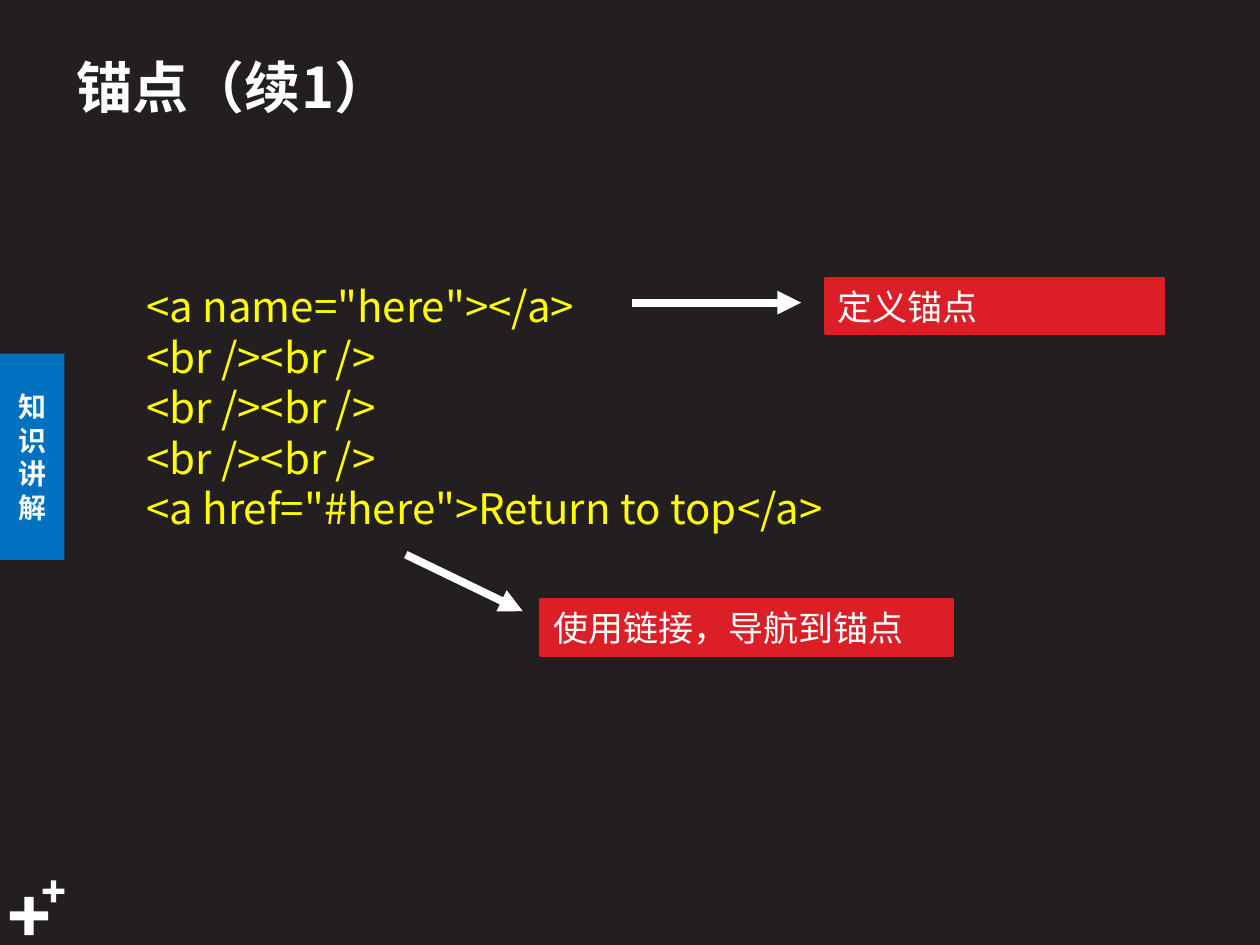
from lxml import etree
from pptx import Presentation
from pptx.dml.color import RGBColor
from pptx.enum.shapes import MSO_CONNECTOR, MSO_SHAPE
from pptx.enum.text import MSO_ANCHOR as Anchor, PP_ALIGN as Align
from pptx.oxml.ns import qn
from pptx.util import Cm, Pt

FONT = "Noto Sans CJK SC"
COLORS = {
    "background": "231F20",
    "white": "FFFFFF",
    "tab": "0070C0",
    "tab_text": "F9FAFB",
    "code": "FFFF00",
    "label": "DC1F26",
}
CODE_LINES = [
    '<a name="here"></a>',
    *["<br /><br />"] * 3,
    '<a href="#here">Return to top</a>',
]


def color(name):
    return RGBColor.from_string(COLORS[name])


def write_text(shape, text, size, color_name, bold=False, align=Align.LEFT,
               anchor=Anchor.MIDDLE):
    frame = shape.text_frame
    frame.word_wrap = True
    frame.vertical_anchor = anchor
    frame.text = text
    for paragraph in frame.paragraphs:
        paragraph.alignment = align
        paragraph.line_spacing = Pt(size * 1.2)
        for run in paragraph.runs:
            font = run.font
            font.name = FONT
            font.size = Pt(size)
            font.bold = bold
            font.color.rgb = color(color_name)
            # East Asian characters take their own typeface
            etree.SubElement(font._element, qn("a:ea"), typeface=FONT)


def add_text(slide, box, text, size, color_name, **options):
    shape = slide.shapes.add_textbox(*map(Cm, box))
    write_text(shape, text, size, color_name, **options)


def add_block(slide, kind, box, fill, outlined=False):
    shape = slide.shapes.add_shape(kind, *map(Cm, box))
    shape.shadow.inherit = False
    shape.fill.solid()
    shape.fill.fore_color.rgb = color(fill)
    if outlined:
        shape.line.color.rgb = color(fill)
        shape.line.width = Pt(1.5)
    else:
        shape.line.fill.background()
    return shape


def add_plus(slide, left, top, size):
    plus = add_block(slide, MSO_SHAPE.CROSS, (left, top, size, size), "white")
    plus.adjustments[0] = 0.38


def add_label(slide, box, text):
    label = add_block(slide, MSO_SHAPE.RECTANGLE, box, "label", outlined=True)
    write_text(label, text, 20, "white")


def add_arrow(slide, start, end):
    arrow = slide.shapes.add_connector(MSO_CONNECTOR.STRAIGHT, *map(Cm, start + end))
    arrow.line.color.rgb = color("white")
    arrow.line.width = Pt(4.5)
    etree.SubElement(arrow.line._get_or_add_ln(), qn("a:tailEnd"), type="triangle")
    etree.SubElement(arrow._element.spPr, qn("a:effectLst"))


def main():
    presentation = Presentation()
    presentation.slide_width, presentation.slide_height = Cm(25.4), Cm(19.05)
    slide = presentation.slides.add_slide(presentation.slide_layouts[6])
    slide.background.fill.solid()
    slide.background.fill.fore_color.rgb = color("background")

    # Corner decoration and side tab
    add_plus(slide, 0.2, 18.08, 0.77)
    add_plus(slide, 0.86, 17.75, 0.44)
    tab = add_block(slide, MSO_SHAPE.RECTANGLE, (0, 7.13, 1.3, 4.16), "tab")
    write_text(tab, "知识讲解", 16, "tab_text", bold=True, align=Align.CENTER)

    # Title and code sample
    add_text(slide, (1.3, 0.74, 18.8, 1.98), "锚点（续1）", 32, "white", bold=True)
    add_text(slide, (2.7, 5.54, 17.9, 5.38), "\n".join(CODE_LINES), 24, "code",
             anchor=Anchor.TOP)

    # Explanations and their arrows
    add_label(slide, (16.64, 5.61, 6.83, 1.12), "定义锚点")
    add_label(slide, (10.9, 12.09, 8.31, 1.12), "使用链接，导航到锚点")
    add_arrow(slide, (12.75, 6.1), (16.15, 6.1))
    add_arrow(slide, (8.18, 11.18), (10.54, 12.32))

    presentation.save("out.pptx")


if __name__ == "__main__":
    main()
